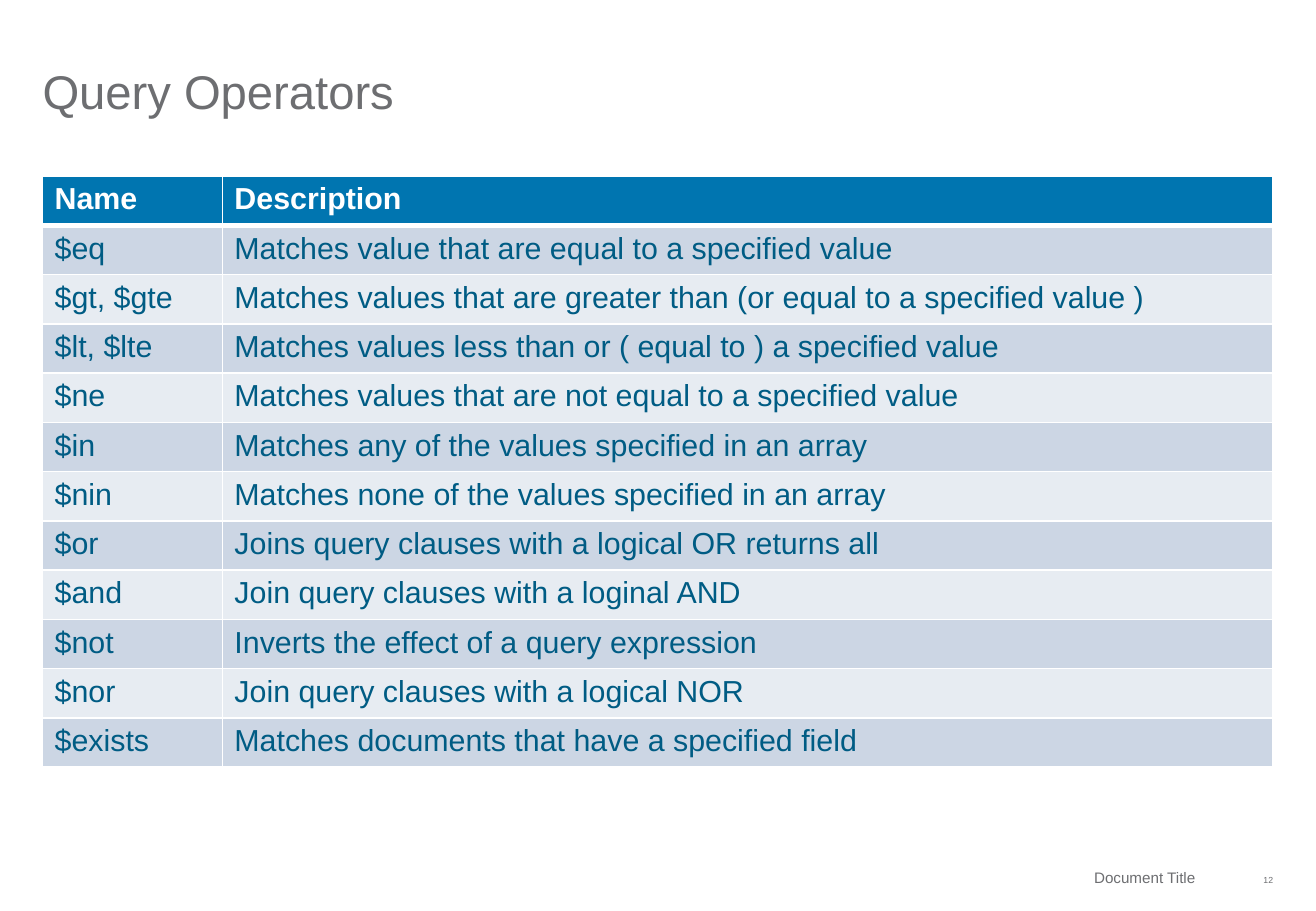
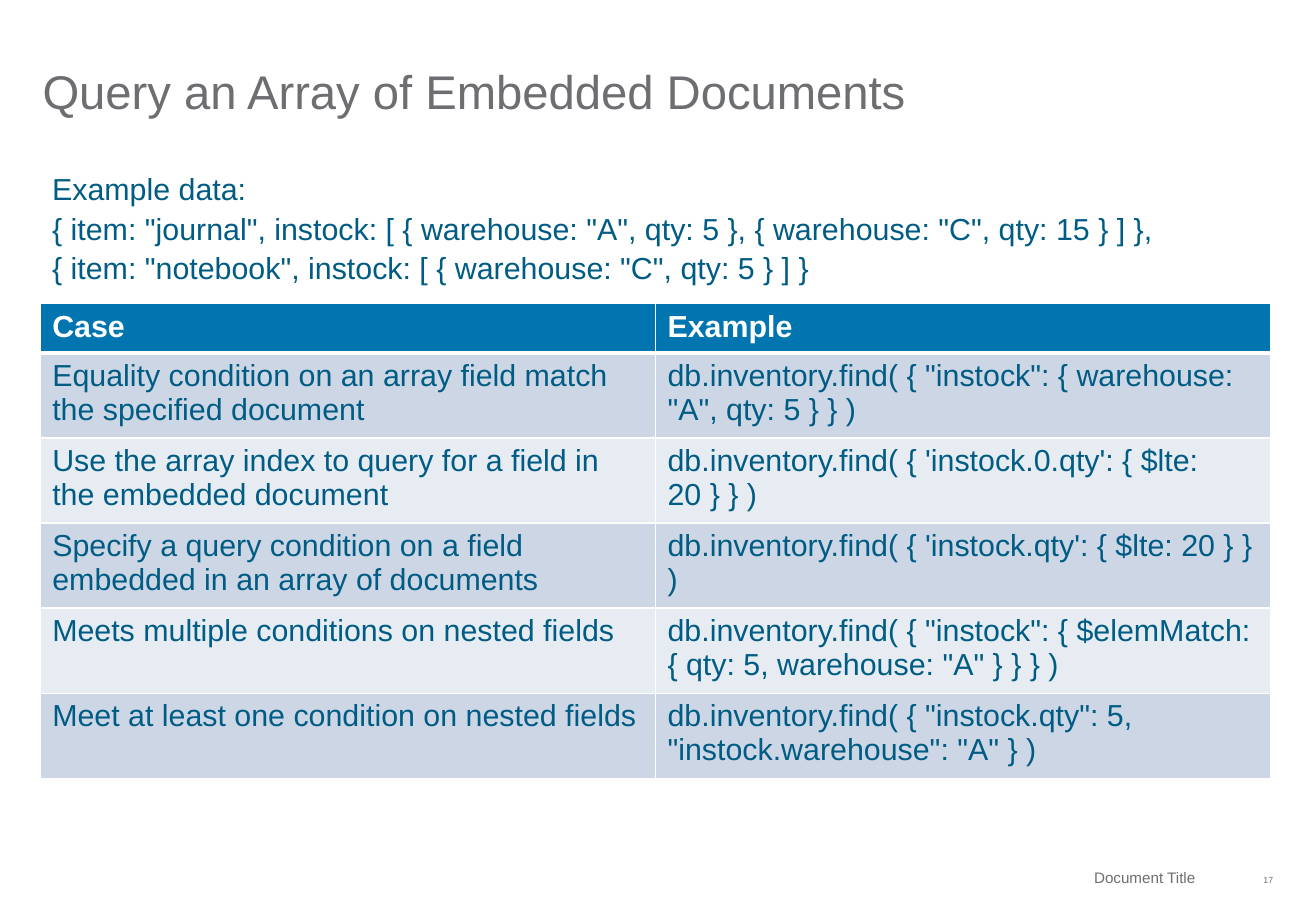
from lxml.etree import SubElement
from pptx import Presentation
from pptx.dml.color import RGBColor
from pptx.enum.text import MSO_ANCHOR, MSO_AUTO_SIZE, PP_ALIGN
from pptx.oxml.ns import qn
from pptx.util import Pt

# Colours
WHITE = RGBColor(0xFF, 0xFF, 0xFF)
GREY = RGBColor(0x6D, 0x6E, 0x71)
BLUE = RGBColor(0x00, 0x75, 0xB0)
TEAL = RGBColor(0x00, 0x5C, 0x84)
BANDS = (RGBColor(0xCC, 0xD6, 0xE4), RGBColor(0xE7, 0xEC, 0xF2))

# Shared formats
TITLE = dict(size=Pt(28), color=GREY)
SMALL = dict(size=Pt(9), color=GREY)
BODY = dict(size=Pt(18), color=TEAL, bold=False)
HEAD = dict(size=Pt(18), color=WHITE, bold=True)
FLUSH = dict(margin_left=0, margin_top=0, margin_right=0, margin_bottom=0)
ROW = 29.2

OPS = [
    ("Name", "Description"),
    ("$eq", "Matches value that are equal to a specified value"),
    ("$gt, $gte", "Matches values that are greater than (or equal to a specified value )"),
    ("$lt, $lte", "Matches values less than or ( equal to ) a specified value"),
    ("$ne", "Matches values that are not equal to a specified value"),
    ("$in", "Matches any of the values specified in an array"),
    ("$nin", "Matches none of the values specified in an array"),
    ("$or", "Joins query clauses with a logical OR returns all"),
    ("$and", "Join query clauses with a loginal AND"),
    ("$not", "Inverts the effect of a query expression"),
    ("$nor", "Join query clauses with a logical NOR"),
    ("$exists", "Matches documents that have a specified field"),
]

# The third example holds no-break spaces after "20"
CASES = [
    ("Case", "Example"),
    ("Equality condition on an array field match the specified document",
     'db.inventory.find( { "instock": { warehouse: "A", qty: 5 } } )'),
    ("Use the array index to query for a field in the embedded document",
     "db.inventory.find( { 'instock.0.qty': { $lte: 20 } } )"),
    ("Specify a query condition on a field embedded in an array of documents",
     "db.inventory.find( { 'instock.qty': { $lte: 20 } } )"),
    ("Meets multiple conditions on nested fields",
     'db.inventory.find( { "instock": { $elemMatch: { qty: 5, warehouse: "A" } } } )'),
    ("Meet at least one condition on nested fields",
     'db.inventory.find( { "instock.qty": 5, "instock.warehouse": "A" } )'),
]

DATA = [
    'Example data:\v{ item: "journal", instock: [ { warehouse: "A", qty: 5 }, '
    '{ warehouse: "C", qty: 15 } ] },',
    '{ item: "notebook", instock: [ { warehouse: "C", qty: 5 } ] }',
]


def apply(item, form):
    for name, value in form.items():
        setattr(item, name, value)


def write(frame, lines, font, **para):
    """Fill a text frame, one paragraph per line."""
    frame.text = "\n".join(lines)
    for par in frame.paragraphs:
        apply(par, para)
        for run in par.runs:
            run.font.name = "Arial"
            run.font.color.rgb = font["color"]
            apply(run.font, {k: v for k, v in font.items() if k != "color"})


def place(shape, left, top, width, height):
    apply(shape, dict(left=Pt(left), top=Pt(top), width=Pt(width), height=Pt(height)))


def add_text(slide, box, lines, font, form, **para):
    shape = slide.shapes.add_textbox(*map(Pt, box))
    apply(shape.text_frame, dict(word_wrap=True, **form))
    write(shape.text_frame, lines, font, **para)
    return shape


def add_edge(cell, side, width):
    line = SubElement(cell._tc.get_or_add_tcPr(), qn("a:ln" + side), w=str(Pt(width)))
    fill = SubElement(line, qn("a:solidFill"))
    SubElement(fill, qn("a:srgbClr"), val=str(WHITE))


def add_grid(slide, left, top, cols, rows):
    """Add a table with a blue head row and banded body rows."""
    frame = slide.shapes.add_table(len(rows), len(cols), Pt(left), Pt(top),
                                   Pt(sum(cols)), Pt(ROW * len(rows)))
    table = frame.table
    table.horz_banding = False
    for col, width in zip(table.columns, cols):
        col.width = Pt(width)
    for i, texts in enumerate(rows):
        table.rows[i].height = Pt(ROW)
        for j, text in enumerate(texts):
            cell = table.cell(i, j)
            # Edges come before the fill; the rule under the head is thick
            for side, width in dict(L=1, R=1, T=3 if i == 1 else 1,
                                    B=3 if i == 0 else 1).items():
                add_edge(cell, side, width)
            cell.fill.solid()
            cell.fill.fore_color.rgb = BANDS[(i - 1) % 2] if i else BLUE
            write(cell.text_frame, [text], BODY if i else HEAD)


def add_page(deck, title, number):
    """Add a slide with its title, footer and page number."""
    slide = deck.slides.add_slide(deck.slide_layouts[5])
    head = slide.shapes.title
    place(head, 25.2, 15.8, 729.4, 55.4)
    apply(head.text_frame, dict(FLUSH, vertical_anchor=MSO_ANCHOR.BOTTOM,
                                auto_size=MSO_AUTO_SIZE.NONE, word_wrap=True))
    write(head.text_frame, [title], TITLE, alignment=PP_ALIGN.LEFT, line_spacing=0.9)

    form = dict(FLUSH, vertical_anchor=MSO_ANCHOR.MIDDLE)
    page = add_text(slide, (726.5, 507.6, 28.1, 23.8), [str(number)], SMALL, form,
                    alignment=PP_ALIGN.RIGHT)
    run = page.text_frame.paragraphs[0].runs[0]
    run.font._element.set("baseline", "-10000")
    add_text(slide, (445.7, 509.8, 273.6, 20.2), ["Document Title"], SMALL,
             dict(form, margin_right=Pt(10.8)), alignment=PP_ALIGN.RIGHT)
    return slide


def main():
    deck = Presentation()
    apply(deck, dict(slide_width=Pt(780), slide_height=Pt(540)))

    # Operators
    slide = add_page(deck, "Query Operators", 12)
    add_grid(slide, 25.2, 104.4, (106.6, 622.8), OPS)

    # Embedded documents
    slide = add_page(deck, "Query an Array of Embedded Documents", 17)
    add_grid(slide, 23.8, 180, (364.7, 364.7), CASES)
    add_text(slide, (23.8, 95.8, 725.8, 72.7), DATA, BODY,
             dict(auto_size=MSO_AUTO_SIZE.SHAPE_TO_FIT_TEXT), line_spacing=1.08)

    deck.save("out.pptx")


if __name__ == "__main__":
    main()
